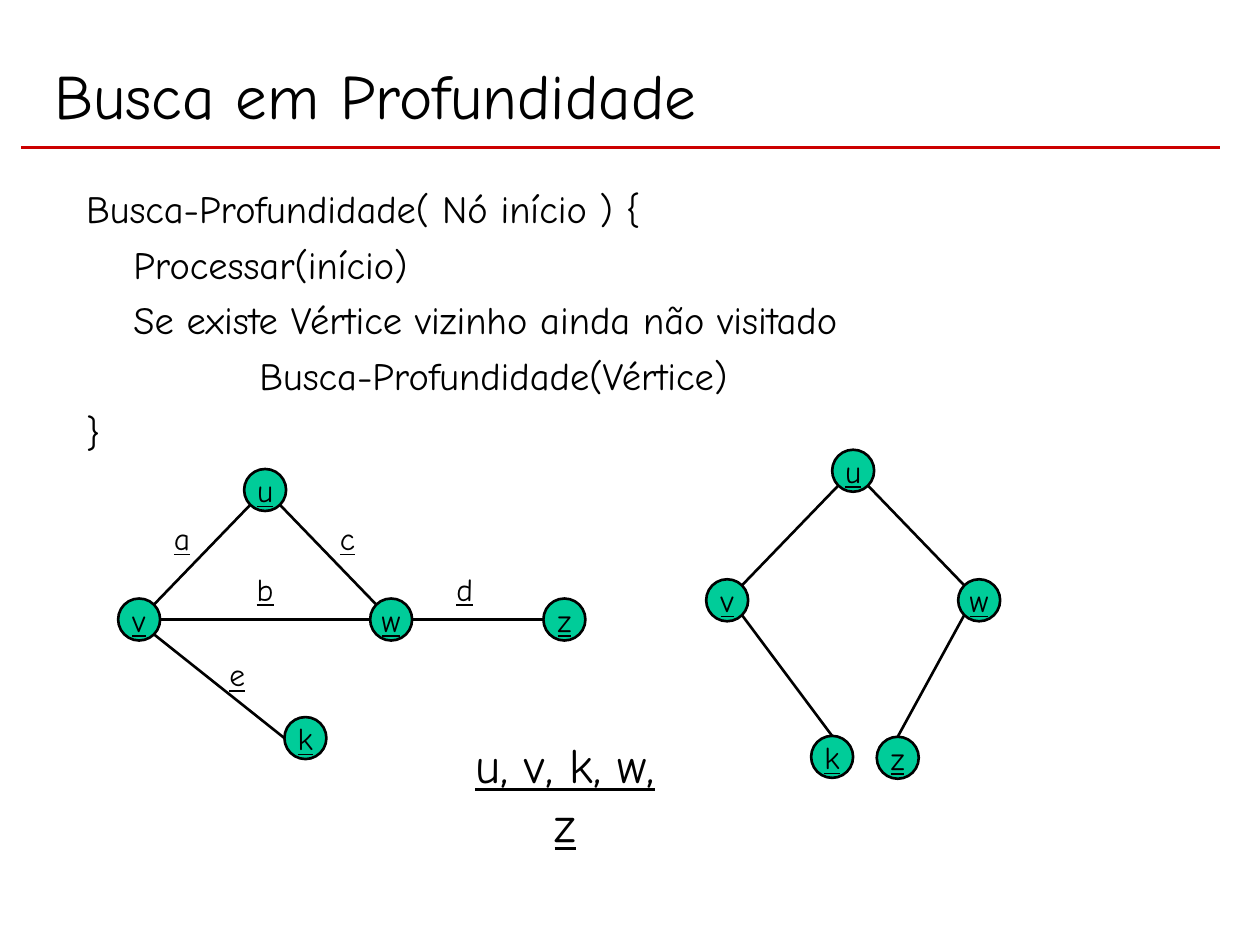
from math import cos, radians, sin

from lxml import etree
from pptx import Presentation
from pptx.dml.color import RGBColor
from pptx.enum.shapes import MSO_CONNECTOR, MSO_SHAPE
from pptx.enum.text import MSO_ANCHOR, MSO_AUTO_SIZE, PP_ALIGN
from pptx.oxml.ns import qn
from pptx.util import Pt

STRAIGHT = MSO_CONNECTOR.STRAIGHT
ELLIPSE = MSO_SHAPE.OVAL
LEFT, CENTER = PP_ALIGN.LEFT, PP_ALIGN.CENTER
TOP, MIDDLE = MSO_ANCHOR.TOP, MSO_ANCHOR.MIDDLE
NO_FIT, GROW = MSO_AUTO_SIZE.NONE, MSO_AUTO_SIZE.SHAPE_TO_FIT_TEXT

COLORS = {"ink": "000000", "rule": "CC0000", "node": "00CC99"}
FONT = "Comic Neue"
NODE_SIZE = 24
LABEL_SIZE = (24, 29)

TITLE = "Busca em Profundidade"
# Each line of pseudocode with its indent
PSEUDOCODE = [
    ("Busca-Profundidade( Nó início ) {", 0),
    ("Processar(início)", 27),
    ("Se existe Vértice vizinho ainda não visitado", 27),
    ("Busca-Profundidade(Vértice)", 99),
    ("}", 0),
]
VISIT_ORDER = "u, v, k, w, z"

# Nodes: centre. Edges: start node, compass side, end node, compass side.
# Labels: centre x, top.
GRAPH = {
    "nodes": {"v": (79.5, 354), "u": (151.5, 280), "w": (223.5, 354),
              "z": (322.5, 354), "k": (174.5, 421.75)},
    "edges": [("u", "SE", "w", "NW"), ("u", "SW", "v", "NE"),
              ("w", "W", "v", "E"), ("z", "W", "w", "E"),
              ("k", "W", "v", "SE")],
    "labels": {"a": (104, 293), "c": (198.5, 293), "b": (151.5, 322),
               "d": (265.5, 322), "e": (135.5, 371)},
}
SEARCH_TREE = {
    "nodes": {"v": (415.5, 343), "u": (487.5, 269), "w": (559.5, 343),
              "z": (513, 433), "k": (475.5, 432.5)},
    "edges": [("u", "SE", "w", "NW"), ("u", "SW", "v", "NE"),
              ("z", "N", "w", "SW"), ("k", "N", "v", "SE")],
    "labels": {},
}
ANGLES = {side: 45 * step for step, side in
          enumerate(["E", "SE", "S", "SW", "W", "NW", "N", "NE"])}


def color(name):
    return RGBColor.from_string(COLORS[name])


def write(shape, lines, size, align=CENTER, anchor=TOP, underline=None,
          wrap=False, fit=NO_FIT, space_before=0):
    """Fill a shape with (text, indent) lines in one format."""
    frame = shape.text_frame
    frame.word_wrap, frame.auto_size = wrap, fit
    frame.vertical_anchor = anchor
    for index, (text, indent) in enumerate(lines):
        paragraph = frame.add_paragraph() if index else frame.paragraphs[0]
        paragraph.alignment = align
        paragraph.space_before = Pt(space_before)
        properties = paragraph._p.get_or_add_pPr()
        properties.set("marL", str(Pt(indent)))
        properties.set("indent", "0")
        etree.SubElement(properties, qn("a:buNone"))
        run = paragraph.add_run()
        run.text = text
        run.font.name, run.font.size = FONT, Pt(size)
        run.font.underline = underline
        run.font.color.rgb = color("ink")


def place(shape, left, top, width, height):
    shape.left, shape.top = Pt(left), Pt(top)
    shape.width, shape.height = Pt(width), Pt(height)


def add_line(slide, start, end, stroke="ink"):
    line = slide.shapes.add_connector(STRAIGHT, *map(Pt, start + end))
    line.line.color.rgb, line.line.width = color(stroke), Pt(1.5)
    etree.SubElement(line._element.spPr, qn("a:effectLst"))


def add_label(slide, text, left, top, width, height, size):
    label = slide.shapes.add_textbox(*map(Pt, (left, top, width, height)))
    write(label, [(text, 0)], size, underline=True, fit=GROW)


def rim_point(center, side):
    angle = radians(ANGLES[side])
    return (center[0] + NODE_SIZE / 2 * cos(angle),
            center[1] + NODE_SIZE / 2 * sin(angle))


def draw_graph(slide, graph):
    nodes = graph["nodes"]
    for name, (x, y) in nodes.items():
        node = slide.shapes.add_shape(
            ELLIPSE, Pt(x - NODE_SIZE / 2), Pt(y - NODE_SIZE / 2),
            Pt(NODE_SIZE), Pt(NODE_SIZE))
        node.shadow.inherit = False
        node.fill.solid()
        node.fill.fore_color.rgb = color("node")
        node.line.color.rgb, node.line.width = color("ink"), Pt(1.5)
        write(node, [(name, 0)], 18, anchor=MIDDLE, underline=True)
    for start, start_side, end, end_side in graph["edges"]:
        add_line(slide, rim_point(nodes[start], start_side),
                 rim_point(nodes[end], end_side))
    width, height = LABEL_SIZE
    for name, (x, top) in graph["labels"].items():
        add_label(slide, name, x - width / 2, top, width, height, 18)


def main():
    deck = Presentation()
    deck.slide_width, deck.slide_height = Pt(720), Pt(540)
    slide = deck.slides.add_slide(deck.slide_layouts[1])
    title, body = slide.placeholders
    place(title, 24, 18, 648, 72)
    write(title, [(TITLE, 0)], 36, align=LEFT, anchor=MIDDLE, wrap=True)
    place(body, 42, 102, 612, 366)
    write(body, PSEUDOCODE, 22, align=LEFT, wrap=True, space_before=5.5)
    add_line(slide, (12, 84.25), (697, 84.25), stroke="rule")
    draw_graph(slide, GRAPH)
    draw_graph(slide, SEARCH_TREE)
    add_label(slide, VISIT_ORDER, 254, 416, 138, 41, 28)
    deck.save("out.pptx")


if __name__ == "__main__":
    main()
